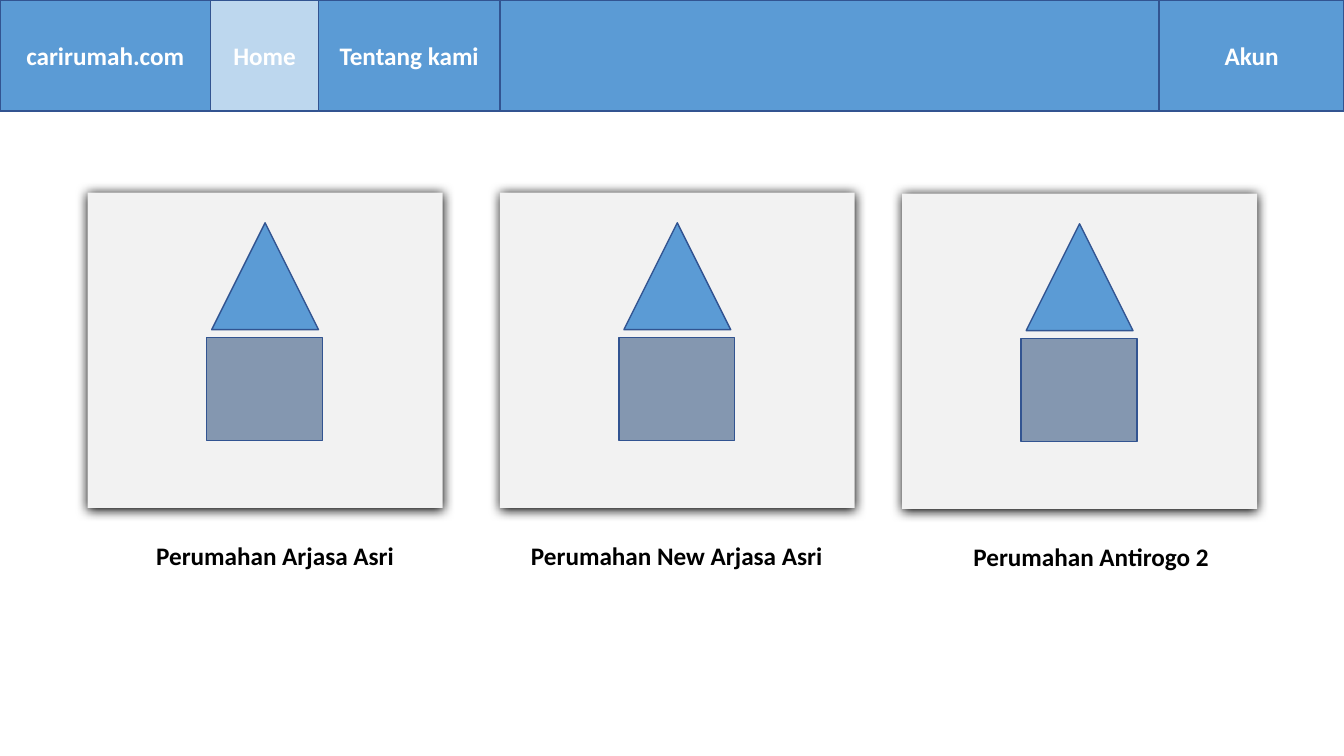
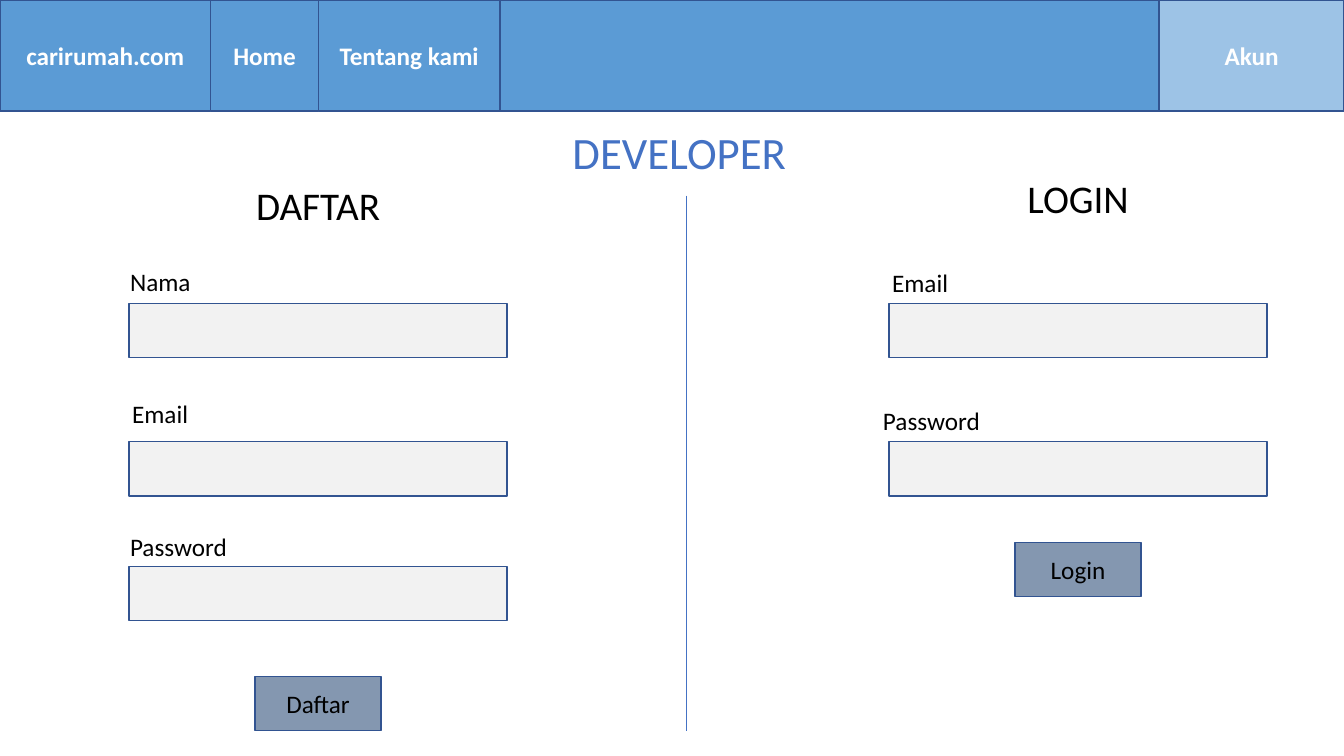
from dataclasses import dataclass
from typing import NamedTuple

from lxml import etree
from pptx import Presentation
from pptx.dml.color import RGBColor
from pptx.enum.shapes import MSO_CONNECTOR, MSO_SHAPE
from pptx.enum.text import MSO_ANCHOR, MSO_AUTO_SIZE, PP_ALIGN
from pptx.oxml import parse_xml
from pptx.oxml.ns import nsdecls, qn
from pptx.util import Inches, Pt

RECT, ROOF = MSO_SHAPE.RECTANGLE, MSO_SHAPE.ISOSCELES_TRIANGLE
LEFT, CENTER = PP_ALIGN.LEFT, PP_ALIGN.CENTER
TOP, MIDDLE = MSO_ANCHOR.TOP, MSO_ANCHOR.MIDDLE
STRAIGHT = MSO_CONNECTOR.STRAIGHT
FIXED = MSO_AUTO_SIZE.NONE


@dataclass(frozen=True)
class Theme:
    font: str = "Calibri"
    blue: str = "5B9BD5"
    pale: str = "BDD7EE"
    sky: str = "9DC3E6"
    edge: str = "325491"
    accent: str = "4472C4"
    gray: str = "F2F2F2"
    slate: str = "8497B0"
    white: str = "FFFFFF"
    black: str = "000000"
    body: int = 18
    head: int = 28
    title: int = 32
    border: float = 1
    rule: float = 0.5


class Box(NamedTuple):
    x: float
    y: float
    w: float
    h: float

    def area(self, x, y, w, h):
        return Box(self.x + self.w * x / 100, self.y + self.h * y / 100,
                   self.w * w / 100, self.h * h / 100)

    def emu(self):
        return [Inches(v) for v in self]


THEME = Theme()
PAGE = Box(0, 0, 40 / 3, 7.5)
NAV = PAGE.area(0, 0, 100, 14.67)
TABS = [
    ("", 37.2, 86.25),
    ("carirumah.com", 0, 15.68),
    ("Akun", 86.25, 100),
    ("Home", 15.68, 23.7),
    ("Tentang kami", 23.7, 37.2),
]
CARDS = [
    ("Perumahan Arjasa Asri", 6.53, 25.47, 16.48, LEFT),
    ("Perumahan New Arjasa Asri", 37.2, 25.47, -3.41, CENTER),
    ("Perumahan Antirogo 2", 67.13, 25.6, 0, CENTER),
]
ROWS = [22.91, 47.82, 70.36]
SIGNUP = [("Nama", 0.27, 15.27), ("Email", 0.8, 39.09), ("Password", 0.27, 63.09)]
SIGNIN = [("Email", 0.8, 15.45), ("Password", -1.6, 40.36)]


def color(code):
    return RGBColor.from_string(code)


def write(shape, text, size=THEME.body, ink=THEME.black, bold=False,
          align=CENTER, anchor=TOP):
    frame = shape.text_frame
    frame.word_wrap = True
    frame.auto_size = FIXED
    frame.vertical_anchor = anchor
    frame.text = text
    line = frame.paragraphs[0]
    line.alignment = align
    font = line.font
    font.name, font.size, font.bold = THEME.font, Pt(size), bold
    font.color.rgb = color(ink)


def draw(slide, box, fill, kind=RECT, edge=True):
    shape = slide.shapes.add_shape(kind, *box.emu())
    shape.shadow.inherit = False
    shape.fill.solid()
    shape.fill.fore_color.rgb = color(fill)
    if edge:
        shape.line.color.rgb = color(THEME.edge)
        shape.line.width = Pt(THEME.border)
    else:
        shape.line.fill.background()
    return shape


def label(slide, box, text, **style):
    shape = slide.shapes.add_textbox(*box.emu())
    write(shape, text, **style)
    return shape


def shade(shape):
    glow = parse_xml(
        f'<a:outerShdw {nsdecls("a")} blurRad="{Pt(8.5)}" dist="{Pt(1)}" '
        f'dir="5400000" algn="t" rotWithShape="0">'
        f'<a:srgbClr val="{THEME.black}"/></a:outerShdw>')
    shape._element.spPr.find(qn("a:effectLst")).append(glow)


def navbar(slide, box, active, tint):
    for text, start, end in TABS:
        fill = tint if text == active else THEME.blue
        tab = draw(slide, box.area(start, 0, end - start, 100), fill)
        if text:
            write(tab, text, ink=THEME.white, bold=True, anchor=MIDDLE)


def card(slide, box, text, shift, align):
    shade(draw(slide, box, THEME.gray, edge=False))
    draw(slide, box.area(34.94, 9.58, 30.11, 33.87), THEME.blue, ROOF)
    draw(slide, box.area(33.52, 46, 32.67, 32.59), THEME.slate)
    label(slide, box.area(shift, 108.8, 106.5, 12.78), text,
          bold=True, align=align)


def form(slide, box, head, rise, fields, action, foot):
    label(slide, box.area(0, rise, 100, 10.36), head, size=THEME.head)
    for (name, shift, top), row in zip(fields, ROWS):
        draw(slide, box.area(0, row, 100, 9.82), THEME.gray)
        tag = label(slide, box.area(shift, top, 50, 7.27), name, align=LEFT)
        tag.text_frame.margin_left = 0
    button = draw(slide, box.area(33.33, foot, 33.33, 9.82), THEME.slate)
    write(button, action, anchor=MIDDLE)


def divide(slide, box):
    x, y, _, h = box
    line = slide.shapes.add_connector(
        STRAIGHT, Inches(x), Inches(y), Inches(x), Inches(y + h))
    line.line.color.rgb = color(THEME.accent)
    line.line.width = Pt(THEME.rule)
    etree.SubElement(line._element.spPr, qn("a:effectLst"))


def heading(slide, box, text):
    title = slide.shapes.title
    title.left, title.top, title.width, title.height = box.emu()
    write(title, text, size=THEME.title, ink=THEME.accent)


def home(deck):
    slide = deck.slides.add_slide(deck.slide_layouts[6])
    navbar(slide, NAV, "Home", THEME.pale)
    for text, x, y, shift, align in CARDS:
        card(slide, PAGE.area(x, y, 26.4, 41.73), text, shift, align)


def account(deck):
    slide = deck.slides.add_slide(deck.slide_layouts[5])
    navbar(slide, NAV, "Akun", THEME.sky)
    heading(slide, PAGE.area(31.8, 15.87, 37.5, 8.53), "DEVELOPER")
    form(slide, PAGE.area(9.6, 23.33, 28.13, 73.33),
         "DAFTAR", 0, SIGNUP, "Daftar", 90.18)
    form(slide, PAGE.area(66.15, 23.33, 28.13, 73.33),
         "LOGIN", -1.27, SIGNIN, "Login", 66)
    divide(slide, PAGE.area(51.08, 25.87, 0, 70.8))


def main():
    deck = Presentation()
    deck.slide_width, deck.slide_height = PAGE.emu()[2:]
    home(deck)
    account(deck)
    deck.save("out.pptx")


if __name__ == "__main__":
    main()
